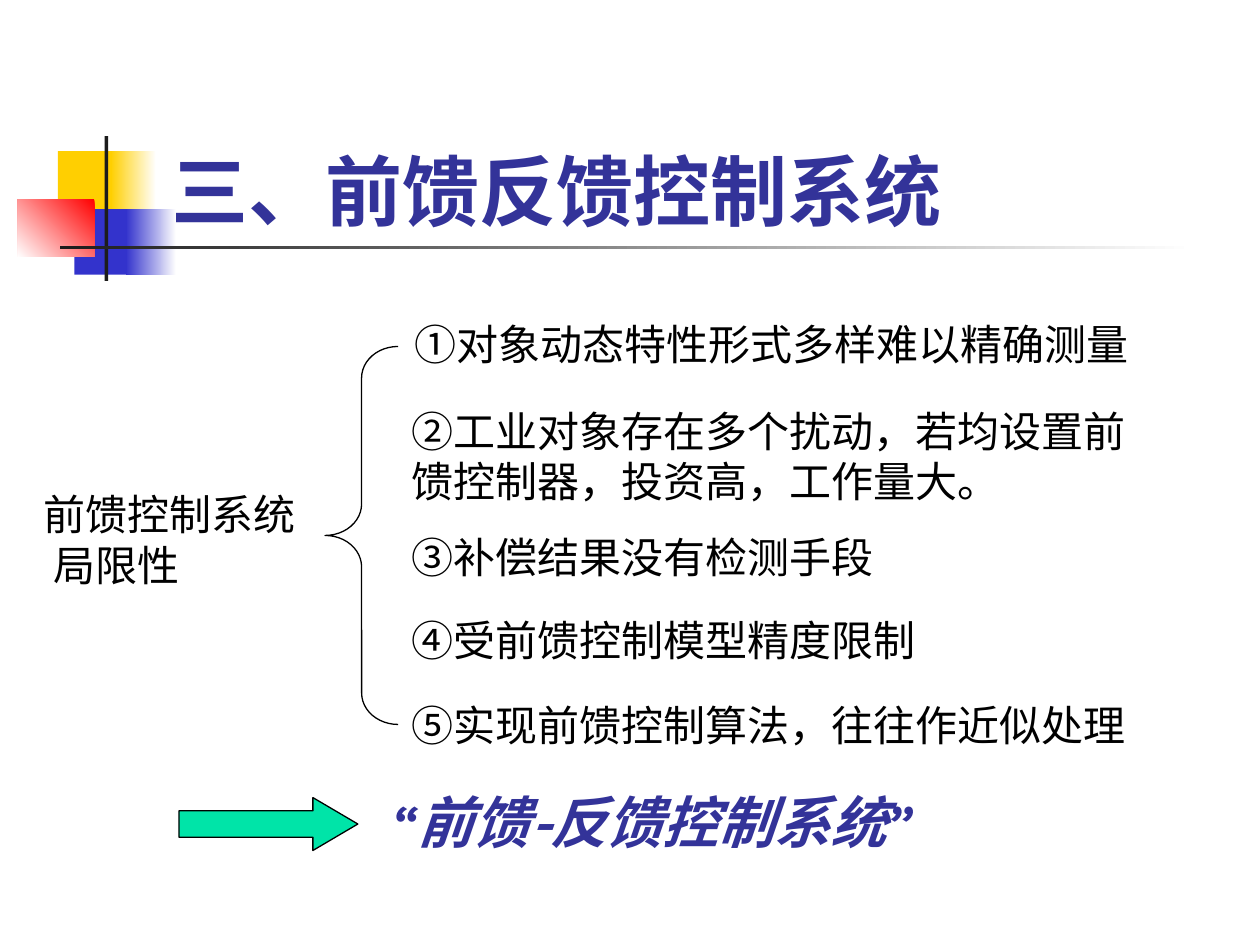
from dataclasses import dataclass

from lxml import etree
from pptx import Presentation
from pptx import util as u
from pptx.dml.color import RGBColor
from pptx.enum import shapes, text
from pptx.oxml import ns
from pptx.shapes.autoshape import Shape
from pptx.slide import Slide
from pptx.text.text import TextFrame

BLACK = RGBColor(0x00, 0x00, 0x00)
WHITE = RGBColor(0xFF, 0xFF, 0xFF)
CHARCOAL = RGBColor(0x1C, 0x1C, 0x1C)
YELLOW = RGBColor(0xFF, 0xCF, 0x01)
BLUE = RGBColor(0x33, 0x33, 0xCC)
RED = RGBColor(0xFF, 0x00, 0x00)
NAVY = RGBColor(0x33, 0x33, 0x99)
GREEN = RGBColor(0x00, 0xE4, 0xA8)
KARLA = "Karla"
NOTO = "Noto Sans CJK SC"


@dataclass(frozen=True)
class Box:
    left: float
    top: float
    width: float
    height: float

    def lengths(self) -> tuple[u.Length, ...]:
        return tuple(u.Inches(n) for n in (self.left, self.top, self.width, self.height))


@dataclass(frozen=True)
class Block:
    box: Box
    colors: tuple[RGBColor, ...]
    angle: int = 180


@dataclass(frozen=True)
class Style:
    size: int = 24
    font: str = KARLA
    color: RGBColor = BLACK
    bold: bool = False
    italic: bool = False


@dataclass(frozen=True)
class Label:
    box: Box
    words: str
    style: Style = Style()
    hanging: float = 0


BLOCKS = (
    Block(Box(0.46, 1.2, 0.48, 0.52), (YELLOW,)),
    Block(Box(0.88, 1.2, 0.36, 0.52), (WHITE, YELLOW)),
    Block(Box(0.59, 1.66, 0.46, 0.52), (BLUE,)),
    Block(Box(1, 1.66, 0.4, 0.52), (WHITE, BLUE)),
    Block(Box(0.14, 1.58, 0.61, 0.46), (RED, WHITE), 225),
    Block(Box(0.83, 1.08, 0.03, 1.15), (CHARCOAL,)),
    Block(Box(0.48, 1.95, 9, 0.03), (WHITE, CHARCOAL)),
)
TITLE = Label(Box(1.26, 0.67, 8.52, 1.25), "三、前馈反馈控制系统", Style(44, KARLA, NAVY, True))
LABELS = (
    Label(Box(0.25, 3.83, 2.25, 0.9), "前馈控制系统 局限性", Style(font=NOTO), 0.08),
    Label(Box(3.19, 2.48, 6.08, 0.5), "①对象动态特性形式多样难以精确测量"),
    Label(Box(3.17, 3.17, 6.08, 0.9), "②工业对象存在多个扰动，若均设置前馈控制器，投资高，工作量大。"),
    Label(Box(3.17, 4.17, 6.08, 0.5), "③补偿结果没有检测手段"),
    Label(Box(3.17, 4.83, 6.08, 0.5), "④受前馈控制模型精度限制"),
    Label(Box(3.17, 5.5, 6.08, 0.5), "⑤实现前馈控制算法，往往作近似处理"),
    Label(Box(3.02, 6.2, 4.75, 1.17), "“前馈-反馈控制系统”", Style(32, NOTO, NAVY, True, True)),
)


def add_plain_shape(slide: Slide, kind: shapes.MSO_SHAPE, box: Box) -> Shape:
    shape = slide.shapes.add_shape(kind, *box.lengths())
    shape.shadow.inherit = False
    return shape


def draw_block(slide: Slide, block: Block) -> None:
    shape = add_plain_shape(slide, shapes.MSO_SHAPE.RECTANGLE, block.box)
    shape.line.fill.background()
    if len(block.colors) == 1:
        shape.fill.solid()
        shape.fill.fore_color.rgb = block.colors[0]
        return
    shape.fill.gradient()
    shape.fill.gradient_angle = block.angle
    for stop, color in zip(shape.fill.gradient_stops, block.colors):
        stop.color.rgb = color


def outline(shape: Shape) -> None:
    shape.line.color.rgb = BLACK
    shape.line.width = u.Pt(0.75)


def write(frame: TextFrame, label: Label) -> None:
    frame.word_wrap = True
    frame.auto_size = text.MSO_AUTO_SIZE.NONE
    paragraph = frame.paragraphs[0]
    paragraph.alignment = text.PP_ALIGN.LEFT
    if label.hanging:
        properties = paragraph._p.get_or_add_pPr()
        properties.set("marL", str(u.Inches(label.hanging)))
        properties.set("indent", str(-u.Inches(label.hanging)))
    run = paragraph.add_run()
    run.text = label.words
    font = run.font
    font.size = u.Pt(label.style.size)
    font.name = label.style.font
    font.bold = label.style.bold
    font.italic = label.style.italic
    font.color.rgb = label.style.color
    east_asian = etree.SubElement(run._r.get_or_add_rPr(), ns.qn("a:ea"))
    east_asian.set("typeface", KARLA)


def draw_title(slide: Slide) -> None:
    title = slide.shapes.title
    title.left, title.top, title.width, title.height = TITLE.box.lengths()
    title.text_frame.vertical_anchor = text.MSO_ANCHOR.BOTTOM
    write(title.text_frame, TITLE)


def draw_label(slide: Slide, label: Label) -> None:
    write(slide.shapes.add_textbox(*label.box.lengths()).text_frame, label)


def draw_brace(slide: Slide) -> None:
    brace = add_plain_shape(slide, shapes.MSO_SHAPE.LEFT_BRACE, Box(2.58, 2.75, 0.58, 3))
    brace.adjustments[0] = 0.43
    brace.fill.background()
    outline(brace)


def draw_arrow(slide: Slide) -> None:
    arrow = add_plain_shape(slide, shapes.MSO_SHAPE.RIGHT_ARROW, Box(1.42, 6.33, 1.42, 0.42))
    arrow.adjustments[0] = 0.5
    arrow.adjustments[1] = 0.85
    arrow.fill.solid()
    arrow.fill.fore_color.rgb = GREEN
    outline(arrow)


def main() -> None:
    presentation = Presentation()
    presentation.slide_width = u.Inches(10)
    presentation.slide_height = u.Inches(7.5)
    slide = presentation.slides.add_slide(presentation.slide_layouts[5])
    for block in BLOCKS:
        draw_block(slide, block)
    draw_title(slide)
    draw_brace(slide)
    for label in LABELS:
        draw_label(slide, label)
    draw_arrow(slide)
    presentation.save("out.pptx")


if __name__ == "__main__":
    main()
